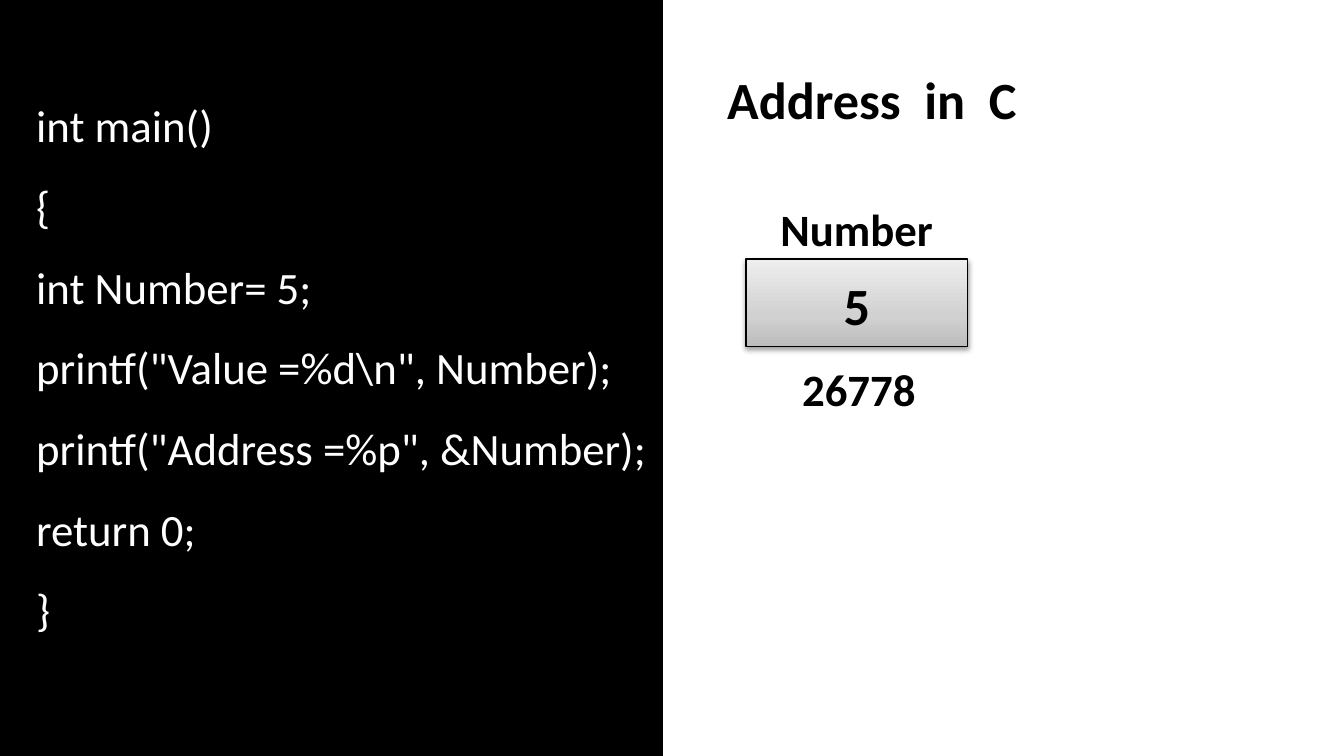
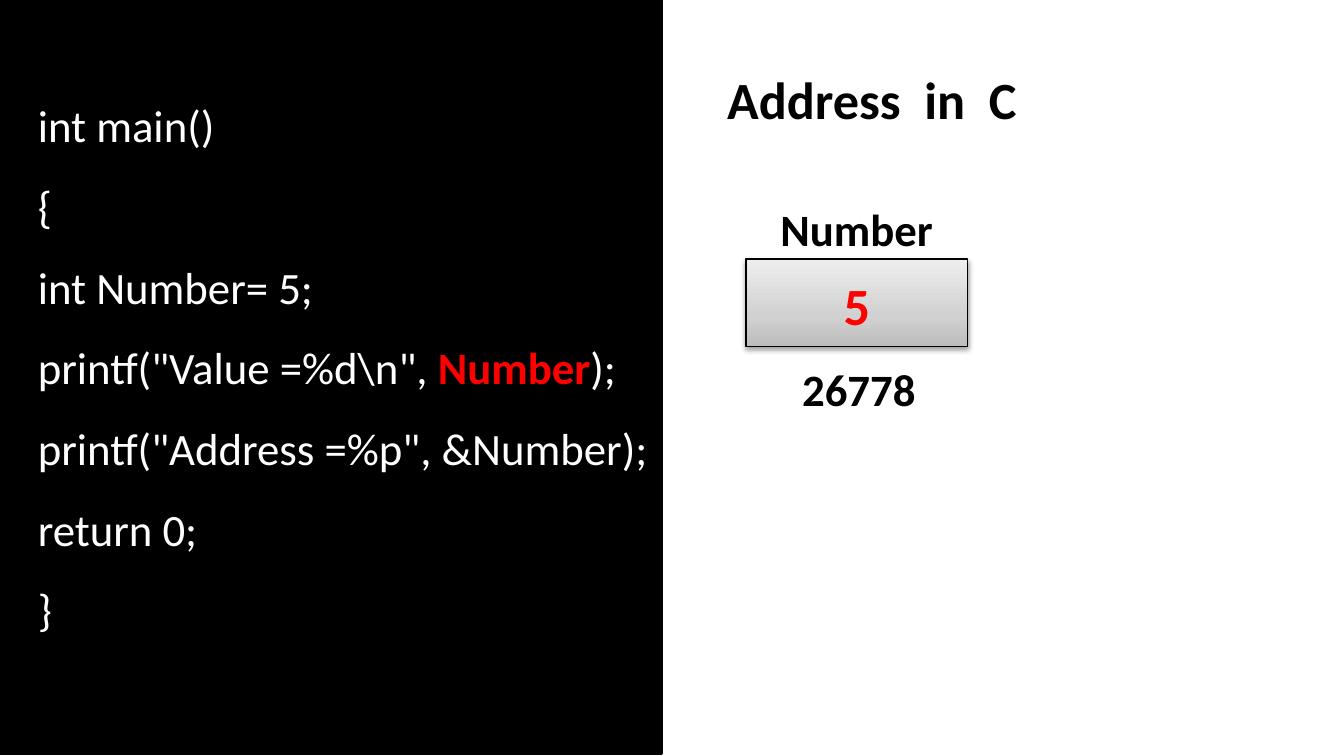
"""Build two slides on the address of a variable in C."""
from copy import deepcopy

from lxml.etree import SubElement as Sub
from pptx import Presentation
from pptx.dml.color import RGBColor
from pptx.enum.shapes import MSO_SHAPE as Shape
from pptx.enum.text import MSO_ANCHOR as Anchor, MSO_AUTO_SIZE as Auto, PP_ALIGN as Align
from pptx.oxml.ns import qn
from pptx.util import Cm, Pt

BLACK = RGBColor(0x00, 0x00, 0x00)
WHITE = RGBColor(0xFF, 0xFF, 0xFF)
RED = RGBColor(0xFF, 0x00, 0x00)
SHADES = [
    (0, RGBColor(0xBD, 0xBD, 0xBD)),
    (0.35, RGBColor(0xD1, 0xD1, 0xD1)),
    (1, RGBColor(0xEE, 0xEE, 0xEE)),
]
WIDE, HIGH = 25.4, 14.29
HEAD = {"size": Pt(28), "bold": True}
LABEL = {"size": Pt(24), "bold": True}
CODE = {"size": Pt(24), "bold": False}
LEFT = {"alignment": Align.LEFT}
MID = {"alignment": Align.CENTER}
LOOSE = {"alignment": Align.LEFT, "line_spacing": 1.5, "space_before": Pt(0)}
START = ["int main()", "{", "int Number= 5;"]
END = ['printf("Address =%p", &Number);', "return 0;", "}"]


def apply(item, style):
    """Set each attribute named in the style."""
    for name, value in style.items():
        setattr(item, name, value)


class Deck:
    """Hold the style and the current slide."""

    def __init__(self):
        """Start an empty deck."""
        self.show = Presentation()
        apply(self.show, {"slide_width": Cm(WIDE), "slide_height": Cm(HIGH)})
        self.slide = None

    def page(self):
        """Add a slide with a title and a body."""
        self.slide = self.show.slides.add_slide(self.show.slide_layouts[1])

    def place(self, item, left, top, width, height):
        """Move and size a placeholder."""
        apply(item, {"left": Cm(left), "top": Cm(top), "width": Cm(width), "height": Cm(height)})

    def words(self, item, lines, font, para, wrap=True, color=BLACK):
        """Set lines of text, each a list of (text, style) runs."""
        frame = item.text_frame
        apply(frame, {"word_wrap": wrap, "auto_size": Auto.SHAPE_TO_FIT_TEXT,
                      "vertical_anchor": Anchor.TOP})
        for i, line in enumerate(lines):
            part = frame.add_paragraph() if i else frame.paragraphs[0]
            apply(part, para)
            for text, style in line:
                run = part.add_run()
                run.text = text
                look = {"name": "Calibri", "color": color, **font, **style}
                run.font.color.rgb = look.pop("color")
                apply(run.font, look)

    def title(self, text):
        """Fill the title."""
        item = self.slide.shapes.title
        self.place(item, 13.49, 1.14, 7.8, 1.45)
        self.words(item, [[(text, {})]], HEAD, LEFT)

    def code(self, lines, left):
        """Fill the body with plain lines of code."""
        item = self.slide.placeholders[1]
        self.place(item, left, 1.22, 13.31, 11.02)
        self.words(item, lines, CODE, LOOSE, color=WHITE)
        for props in item.element.iter(qn("a:pPr")):
            props.set("marL", "0")
            props.set("indent", "0")
            Sub(props, qn("a:buNone"))

    def rect(self, left, top, width, height, line):
        """Add a rectangle with a black line."""
        item = self.slide.shapes.add_shape(
            Shape.RECTANGLE, Cm(left), Cm(top), Cm(width), Cm(height))
        item.shadow.inherit = False
        item.line.color.rgb = BLACK
        item.line.width = Pt(line)
        return item

    def panel(self, top):
        """Add the black panel behind the code."""
        item = self.rect(0, top, 12.5, HIGH, 2)
        item.fill.solid()
        item.fill.fore_color.rgb = BLACK
        item.element.getparent().insert(2, item.element)

    def cell(self):
        """Add the shaded memory cell."""
        item = self.rect(14.1, 4.9, 4.19, 1.65, 0.75)
        item.fill.gradient()
        item.fill.gradient_angle = 90
        stops = item.element.find(".//" + qn("a:gsLst"))
        stops.append(deepcopy(stops[0]))
        for stop, (place, color) in zip(item.fill.gradient_stops, SHADES):
            stop.position = place
            stop.color.rgb = color
        glow = Sub(item.element.find(".//" + qn("a:effectLst")), qn("a:outerShdw"),
                   blurRad=str(Pt(3.1)), dist=str(Pt(1.6)), dir="5400000", rotWithShape="0")
        tint = Sub(glow, qn("a:srgbClr"), val=str(BLACK))
        Sub(tint, qn("a:alpha"), val="38000")

    def label(self, text, left, top, width, height, font=LABEL, para=LEFT, wrap=False):
        """Add a text box of one line."""
        item = self.slide.shapes.add_textbox(Cm(left), Cm(top), Cm(width), Cm(height))
        self.words(item, [[(text, {})]], font, para, wrap)


def main():
    """Build and save the deck."""
    deck = Deck()
    mark = {"color": RED, "bold": True}
    for top, left, style in [(0, 0.43, {}), (-0.05, 0.46, mark)]:
        deck.page()
        deck.panel(top)
        deck.title("Address  in  C")
        deck.cell()
        deck.label("5", 15.09, 5.05, 2.21, 1.45, {**HEAD, **style}, MID, True)
        deck.label("26778", 14.91, 6.71, 2.67, 1.27)
        deck.label("Number", 14.5, 3.68, 3.43, 1.27)
        if style:
            value = [('printf("Value =%d\\n", ', {}), ("Number", style), (");", {})]
        else:
            value = [('printf("Value =%d\\n", Number);', {})]
        plain = [[(text, {})] for text in START + END]
        deck.code(plain[:3] + [value] + plain[3:], left)
    deck.show.save("out.pptx")


if __name__ == "__main__":
    main()
